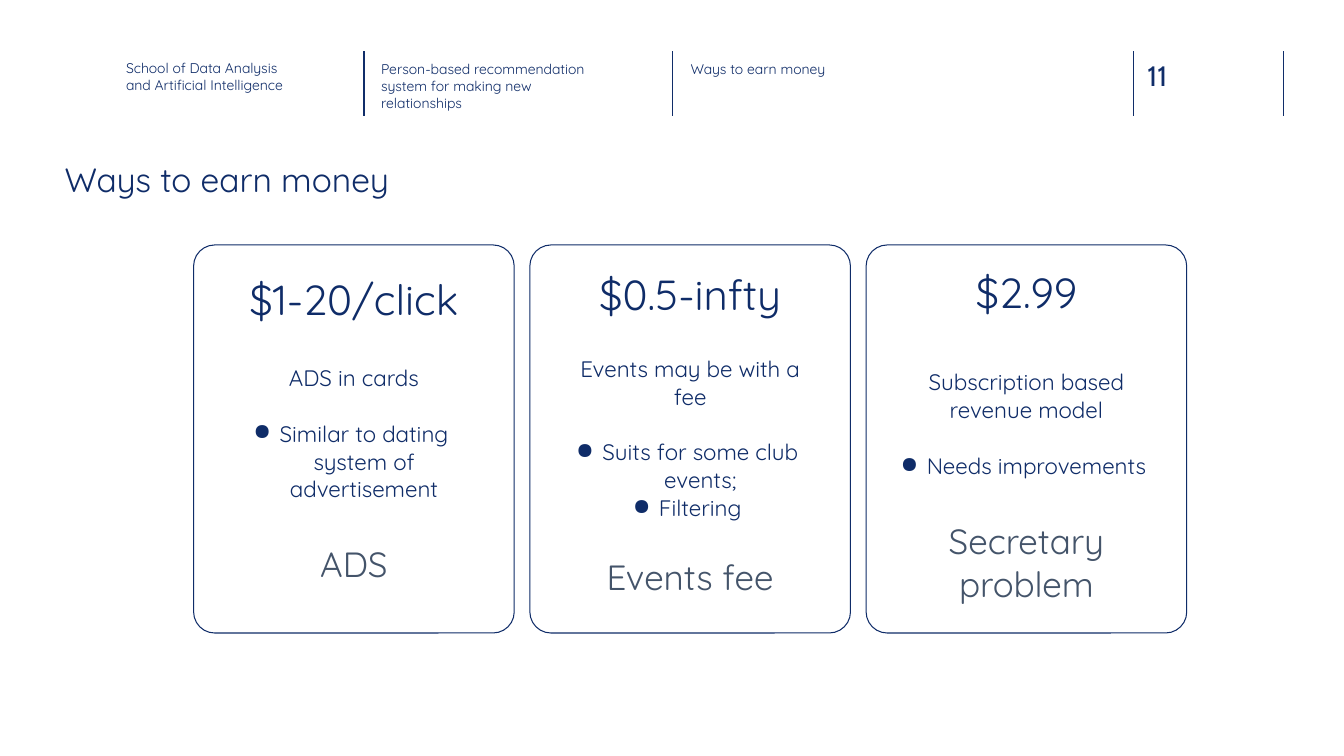
from pptx import Presentation
from pptx.dml.color import RGBColor
from pptx.enum.shapes import MSO_CONNECTOR, MSO_SHAPE
from pptx.enum.text import MSO_ANCHOR, PP_ALIGN
from pptx.oxml.ns import qn
from pptx.util import Inches, Pt
from lxml.etree import SubElement

COLORS = {"navy": "0F2C68", "rule": "102D69", "slate": "44546A", "white": "FFFFFF"}
PLAIN = "{2D5ABB26-0587-4C30-8999-92F81FD0307C}"


class Deck:
    """Draws the elements of one slide in a shared style."""

    def __init__(self, slide):
        self.shapes = slide.shapes
        self.face = "Quicksand"

    def color(self, name):
        return RGBColor.from_string(COLORS[name])

    def run(self, para, text, size, color="navy", face=None):
        run = para.add_run()
        run.text = text
        font = run.font
        font.size = Pt(size)
        font.name = face or self.face
        font.color.rgb = self.color(color)

    def text(self, box, lines, size, color="navy", face=None):
        frame = self.shapes.add_textbox(*map(Inches, box)).text_frame
        frame.word_wrap = True
        frame.margin_left = frame.margin_right = 0
        frame.margin_top = frame.margin_bottom = 0
        for i, line in enumerate(lines):
            para = frame.add_paragraph() if i else frame.paragraphs[0]
            self.run(para, line, size, color, face)

    def rule(self, x, top, end):
        line = self.shapes.add_connector(
            MSO_CONNECTOR.STRAIGHT, Inches(x), Inches(top), Inches(x), Inches(end))
        line.line.color.rgb = self.color("rule")
        line.line.width = Pt(1)
        SubElement(line._element.spPr, qn("a:effectLst"))

    def card(self, box):
        card = self.shapes.add_shape(MSO_SHAPE.ROUNDED_RECTANGLE, *map(Inches, box))
        card.adjustments[0] = 0.066
        card.shadow.inherit = False
        card.fill.solid()
        card.fill.fore_color.rgb = self.color("white")
        card.line.color.rgb = self.color("navy")
        card.line.width = Pt(0.75)

    def bullet(self, para):
        props = para._p.get_or_add_pPr()
        props.set("marL", str(Inches(0.2)))
        props.set("indent", str(Inches(-0.26)))
        tint = SubElement(props, qn("a:buClr"))
        SubElement(tint, qn("a:srgbClr")).set("val", COLORS["navy"])
        SubElement(props, qn("a:buChar")).set("char", "●")

    def table(self, box, rows, price, lead, points, name):
        table = self.shapes.add_table(3, 1, *map(Inches, box)).table
        table.first_row = table.horz_banding = False
        table._tbl.tblPr.find(qn("a:tableStyleId")).text = PLAIN
        cells = [table.cell(i, 0) for i in range(3)]
        for row, height, cell in zip(table.rows, rows, cells):
            row.height = Inches(height)
            cell.fill.background()
            cell.vertical_anchor = MSO_ANCHOR.MIDDLE
            cell.margin_left = cell.margin_right = Inches(0.1)
            cell.margin_top = cell.margin_bottom = Inches(0.1)
        top, mid, foot = [cell.text_frame for cell in cells]
        self.run(top.paragraphs[0], price, 30)
        self.run(mid.paragraphs[0], lead, 16)
        self.run(foot.paragraphs[0], name, 25, "slate")
        for i, point in enumerate(points):
            para = mid.add_paragraph()
            self.bullet(para)
            if i == 0:
                para.space_before = Pt(20)
            self.run(para, point, 16)
        for frame in (top, mid, foot):
            for para in frame.paragraphs:
                para.alignment = PP_ALIGN.CENTER


def main():
    prs = Presentation()
    prs.slide_width, prs.slide_height = Inches(13.33), Inches(7.5)
    deck = Deck(prs.slides.add_slide(prs.slide_layouts[6]))

    for x in (3.61, 6.67, 11.24, 12.73):
        deck.rule(x, 0.51, 1.15)
    deck.text((11.38, 0.58, 0.73, 0.34), ["11"], 20, "rule", "Cabin")
    heads = [
        ((1.25, 0.59, 2.08, 0.45), ["School of Data Analysis", "and Artificial Intelligence"]),
        ((3.78, 0.6, 2.26, 0.45),
         ["Person-based recommendation system for making new relationships"]),
        ((6.85, 0.6, 2.26, 0.45), ["Ways to earn money"]),
    ]
    for box, lines in heads:
        deck.text(box, lines, 10)
    deck.text((0.64, 1.58, 12.09, 0.85), ["Ways to earn money"], 24)

    plans = [
        ((1.08, 1.55, 1.08), "$1-20/click", "ADS in cards",
         ["Similar to dating system of advertisement"], "ADS"),
        ((0.99, 1.73, 0.99), "$0.5-infty", "Events may be with a fee",
         ["Suits for some club events;", "Filtering"], "Events fee"),
        ((0.95, 1.65, 1.11), "$2.99", "Subscription based revenue model",
         ["Needs improvements"], "Secretary problem"),
    ]
    left, top, wide, step, inset = 1.92, 2.43, 3.18, 3.335, 0.235
    for i, plan in enumerate(plans):
        x = left + i * step
        deck.card((x, top, wide, 3.85))
        deck.table((x + inset, top, wide - 2 * inset, 3.71), *plan)

    prs.save("out.pptx")


if __name__ == "__main__":
    main()
